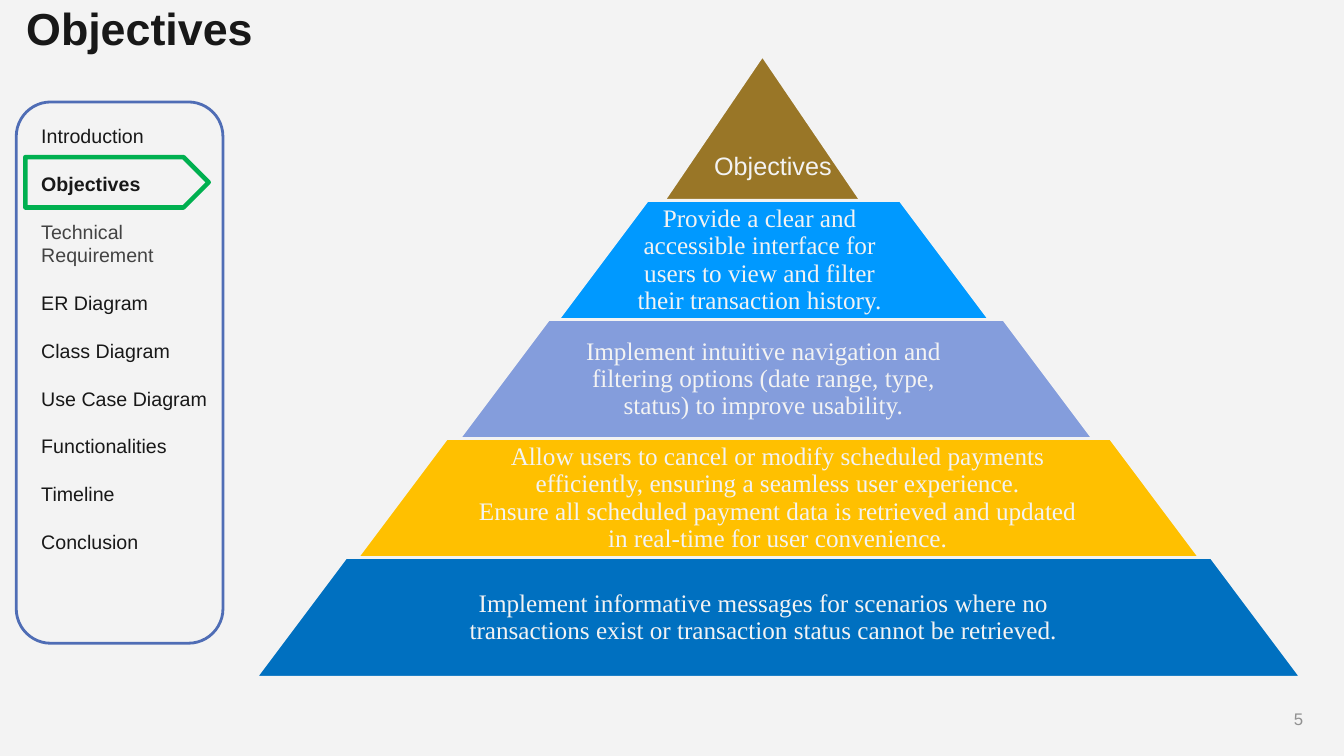
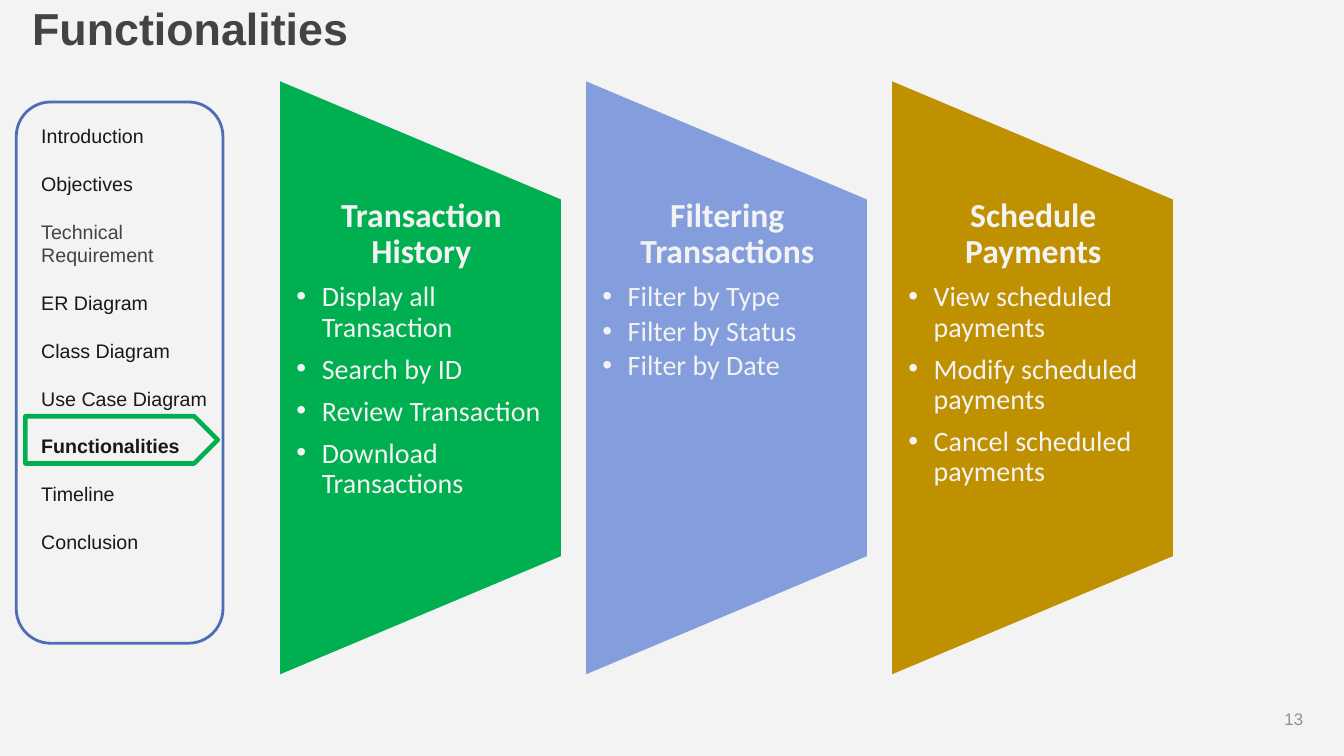
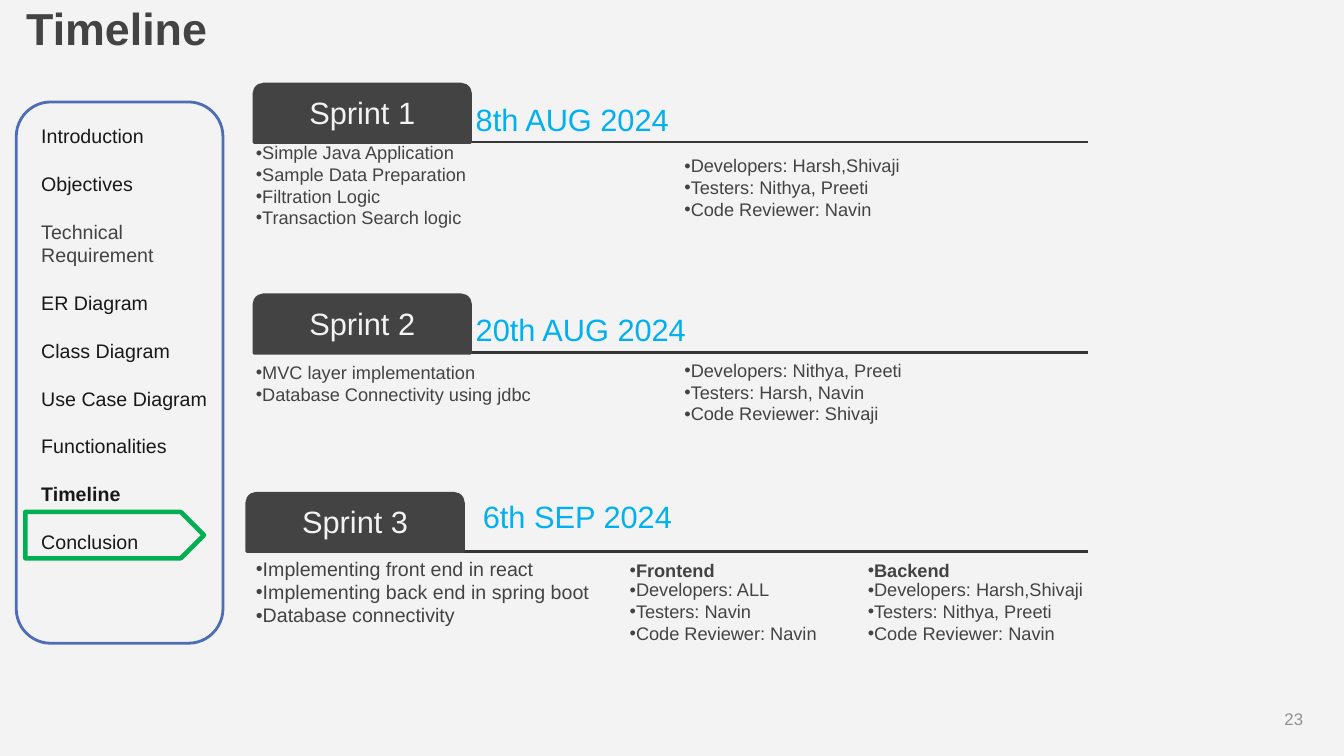
import pptx
import pptx.util
import pptx.dml.color
import pptx.enum.shapes
import pptx.enum.text
import lxml.etree
from pptx.util import Cm, Pt

RGBColor = pptx.dml.color.RGBColor
KIND = pptx.enum.shapes.MSO_SHAPE
ALIGN = pptx.enum.text.PP_ALIGN
ANCHOR = pptx.enum.text.MSO_ANCHOR

PAPER = RGBColor(0xF3, 0xF3, 0xF3)
INK = RGBColor(0x18, 0x18, 0x18)
SLATE = RGBColor(0x43, 0x43, 0x43)
RULE = RGBColor(0x35, 0x35, 0x35)
GREY = RGBColor(0x91, 0x91, 0x91)
FRAME = RGBColor(0x4F, 0x6D, 0xB5)
GREEN = RGBColor(0x00, 0xB0, 0x50)
BRONZE = RGBColor(0x99, 0x76, 0x27)
OCHRE = RGBColor(0xBF, 0x90, 0x00)
AZURE = RGBColor(0x00, 0x99, 0xFF)
LILAC = RGBColor(0x84, 0x9D, 0xDC)
AMBER = RGBColor(0xFF, 0xC0, 0x00)
BLUE = RGBColor(0x00, 0x70, 0xC0)
CYAN = RGBColor(0x00, 0xB0, 0xF0)

TOPICS = ["Introduction", "Objectives", "Technical Requirement", "ER Diagram",
          "Class Diagram", "Use Case Diagram", "Functionalities", "Timeline",
          "Conclusion"]

# Colour, band left and width, text left and width, text
BANDS = [
    (AZURE, 14.05, 10.9, 15.82, 6.65,
     ["Provide a clear and accessible interface for users to view and filter "
      "their transaction history."]),
    (LILAC, 11.56, 16, 14.25, 9.98,
     ["Implement intuitive navigation and filtering options (date range, type, "
      "status) to improve usability."]),
    (AMBER, 8.99, 21.26, 11.84, 15.52,
     ["Allow users to cancel or modify scheduled payments efficiently, "
      "ensuring a seamless user experience.",
      "Ensure all scheduled payment data is retrieved and updated in real-time "
      "for user convenience."]),
    (BLUE, 6.45, 26.34, 10.92, 16.64,
     ["Implement informative messages for scenarios where no transactions "
      "exist or transaction status cannot be retrieved."]),
]

# Colour, heading, points, gap between points
CARDS = [
    (GREEN, ["Transaction", "History"],
     ["Display all Transaction", "Search by ID", "Review Transaction",
      "Download Transactions"], 8.4),
    (LILAC, ["Filtering Transactions"],
     ["Filter by Type", "Filter by Status", "Filter by Date"], 3),
    (OCHRE, ["Schedule Payments"],
     ["View scheduled payments", "Modify scheduled payments",
      "Cancel scheduled payments"], 8.4),
]

# Name, date, rule height, tab left, date left and top, notes;
# each note: left, top, text size, heading, points
SPRINTS = [
    ("Sprint 1", "8th AUG 2024", 3.58, 6.4, 11.86, 2.13, [
        (6.4, 3.58, 13, [], ["Simple Java Application", "Sample Data Preparation",
                             "Filtration Logic", "Transaction Search logic"]),
        (17.2, 3.91, 13, [], ["Developers: Harsh,Shivaji", "Testers: Nithya, Preeti",
                              "Code Reviewer: Navin"])]),
    ("Sprint 2", "20th AUG 2024", 8.89, 6.4, 11.86, 7.44, [
        (6.4, 9.12, 13, [], ["MVC layer implementation",
                             "Database Connectivity using jdbc"]),
        (17.2, 9.07, 13, [], ["Developers: Nithya, Preeti", "Testers: Harsh, Navin",
                              "Code Reviewer: Shivaji"])]),
    ("Sprint 3", "6th SEP 2024", 13.89, 6.22, 12.04, 12.14, [
        (6.4, 14.05, 14, [], ["Implementing front end in react",
                              "Implementing back end in spring boot",
                              "Database connectivity"]),
        (15.82, 14.1, 13, ["Frontend"], ["Developers: ALL", "Testers: Navin",
                                         "Code Reviewer: Navin"]),
        (21.82, 14.1, 13, ["Backend"], ["Developers: Harsh,Shivaji",
                                        "Testers: Nithya, Preeti",
                                        "Code Reviewer: Navin"])]),
]


def draw(slide, kind, box, fill=None, line=PAPER, width=2, adjust=()):
    shape = slide.shapes.add_shape(kind, *map(Cm, box))
    shape.shadow.inherit = False
    if fill is None:
        shape.fill.background()
    else:
        shape.fill.solid()
        shape.fill.fore_color.rgb = fill
    shape.line.color.rgb = line
    shape.line.width = Pt(width)
    for i, value in enumerate(adjust):
        shape.adjustments[i] = value
    return shape


def style(para, size, color, font="Arial", bold=False):
    for run in para.runs:
        run.font.size = Pt(size)
        run.font.name = font
        run.font.bold = bold
        run.font.color.rgb = color


def write(shape, lines, size, color, font="Arial", bold=False, align=ALIGN.LEFT,
          anchor=ANCHOR.TOP, inset=(0.25, 0.13), lead=0.9, gap=0):
    """Fill a shape with one paragraph a line and return the paragraphs."""
    frame = shape.text_frame
    frame.word_wrap = True
    frame.vertical_anchor = anchor
    frame.margin_left = frame.margin_right = Cm(inset[0])
    frame.margin_top = frame.margin_bottom = Cm(inset[1])
    frame.text = "\n".join(lines)
    for i, para in enumerate(frame.paragraphs):
        para.alignment = align
        para.line_spacing = lead
        if i and gap:
            para.space_before = Pt(gap)
        style(para, size, color, font, bold)
    return frame.paragraphs


def label(slide, box, lines, size, color, **look):
    area = slide.shapes.add_textbox(*map(Cm, box))
    return write(area, lines, size, color, **look)


def bullet(para, color, left, hang):
    props = para._p.get_or_add_pPr()
    props.set("marL", str(Cm(left)))
    props.set("indent", str(-Cm(hang)))
    tint = lxml.etree.SubElement(props, pptx.oxml.ns.qn("a:buClr"))
    lxml.etree.SubElement(tint, pptx.oxml.ns.qn("a:srgbClr"), val=str(color))
    lxml.etree.SubElement(props, pptx.oxml.ns.qn("a:buFont"), typeface="Arial")
    lxml.etree.SubElement(props, pptx.oxml.ns.qn("a:buChar"), char="•")


def start(deck, title, number, marker, color=SLATE, left=0.41):
    """Add a slide with title, topic list, marker (top, width, height) and number."""
    slide = deck.slides.add_slide(deck.slide_layouts[6])
    draw(slide, KIND.ROUNDED_RECTANGLE, (0.41, 2.57, 5.21, 13.64), line=FRAME,
         adjust=[0.167])
    label(slide, (left, 0, 33.3, 2.13), [title], 32, color, bold=True,
          inset=(0.25, 0.03), lead=1)
    items = label(slide, (0.79, 3, 5.08, 12.57), TOPICS, 14, INK, lead=1, gap=17.3)
    for para, topic in zip(items, TOPICS):
        shade = SLATE if topic == "Technical Requirement" else INK
        style(para, 14, shade, bold=topic == title)
    top, width, height = marker
    draw(slide, KIND.PENTAGON, (0.64, top, width, height), line=GREEN, width=3.25,
         adjust=[0.5])
    label(slide, (31.34, 17.58, 1.75, 1.09), [str(number)], 12, GREY,
          align=ALIGN.RIGHT, anchor=ANCHOR.MIDDLE, lead=1)
    return slide


def goals(deck):
    slide = start(deck, "Objectives", 5, (3.96, 4.62, 1.27), color=INK)
    look = dict(align=ALIGN.CENTER, anchor=ANCHOR.MIDDLE, inset=(0.05, 0.05))
    draw(slide, KIND.TRAPEZOID, (16.66, 1.4, 5.11, 3.76), BRONZE, adjust=[0.75])
    label(slide, (17.17, 3.57, 4.62, 1.27), ["Objectives"], 18, PAPER, **look)
    for i, (fill, left, width, inner, room, lines) in enumerate(BANDS):
        top = 5.05 + 3 * i
        draw(slide, KIND.TRAPEZOID, (left, top, width, 3.02), fill, adjust=[0.75])
        label(slide, (inner, top, room, 3.02), lines, 18, PAPER,
              font="Times New Roman", **look)


def features(deck):
    slide = start(deck, "Functionalities", 13, (10.49, 4.85, 1.19), left=0.56)
    for i, (fill, head, points, gap) in enumerate(CARDS):
        shift = 7.71 * i
        card = draw(slide, KIND.FLOWCHART_MANUAL_OPERATION,
                    (3.07 + shift, 5.94, 15.06, 7.16), fill)
        card.rotation = 270
        paras = label(slide, (7.04 + shift, 5, 7.16, 9.04), head + points, 24, PAPER,
                      font="Calibri", bold=True, align=ALIGN.CENTER, inset=(0.43, 0))
        for j, para in enumerate(paras[len(head):]):
            para.alignment = ALIGN.LEFT
            para.space_before = Pt(gap if j else 8.4)
            bullet(para, PAPER, 0.64, 0.64)
            style(para, 20, PAPER, "Calibri")


def sprints(deck):
    slide = start(deck, "Timeline", 23, (12.9, 4.5, 1.17))
    edge = (0.13, 0.13)
    for name, date, level, left, side, top, notes in SPRINTS:
        rule = slide.shapes.add_connector(
            pptx.enum.shapes.MSO_CONNECTOR.STRAIGHT,
            Cm(6.4), Cm(level), Cm(27.43), Cm(level))
        rule.line.color.rgb = RULE
        rule.line.width = Pt(2)
        lxml.etree.SubElement(rule._element.spPr, pptx.oxml.ns.qn("a:effectLst"))
        tab = draw(slide, KIND.ROUND_2_SAME_RECTANGLE, (left, level - 1.46, 5.46, 1.47),
                   SLATE, SLATE, adjust=[0.167, 0])
        write(tab, [name], 22, PAPER, align=ALIGN.CENTER, anchor=ANCHOR.MIDDLE,
              inset=edge)
        label(slide, (side, top, 13, 1.47), [date], 22, CYAN, anchor=ANCHOR.BOTTOM,
              inset=edge)
        for x, y, size, head, points in notes:
            paras = label(slide, (x, y, 10, 2.5), head + points, size, SLATE,
                          inset=(0.05, 0.05), gap=1.4)
            for para in paras:
                bullet(para, SLATE, 0.15, 0.23)
            if head:
                style(paras[0], size, SLATE, bold=True)
                paras[1].space_before = Pt(0)


def main():
    deck = pptx.Presentation()
    deck.slide_width, deck.slide_height = Cm(33.87), Cm(19.05)
    ground = deck.slide_master.background.fill
    ground.solid()
    ground.fore_color.rgb = PAPER
    goals(deck)
    features(deck)
    sprints(deck)
    deck.save("out.pptx")


if __name__ == "__main__":
    main()
